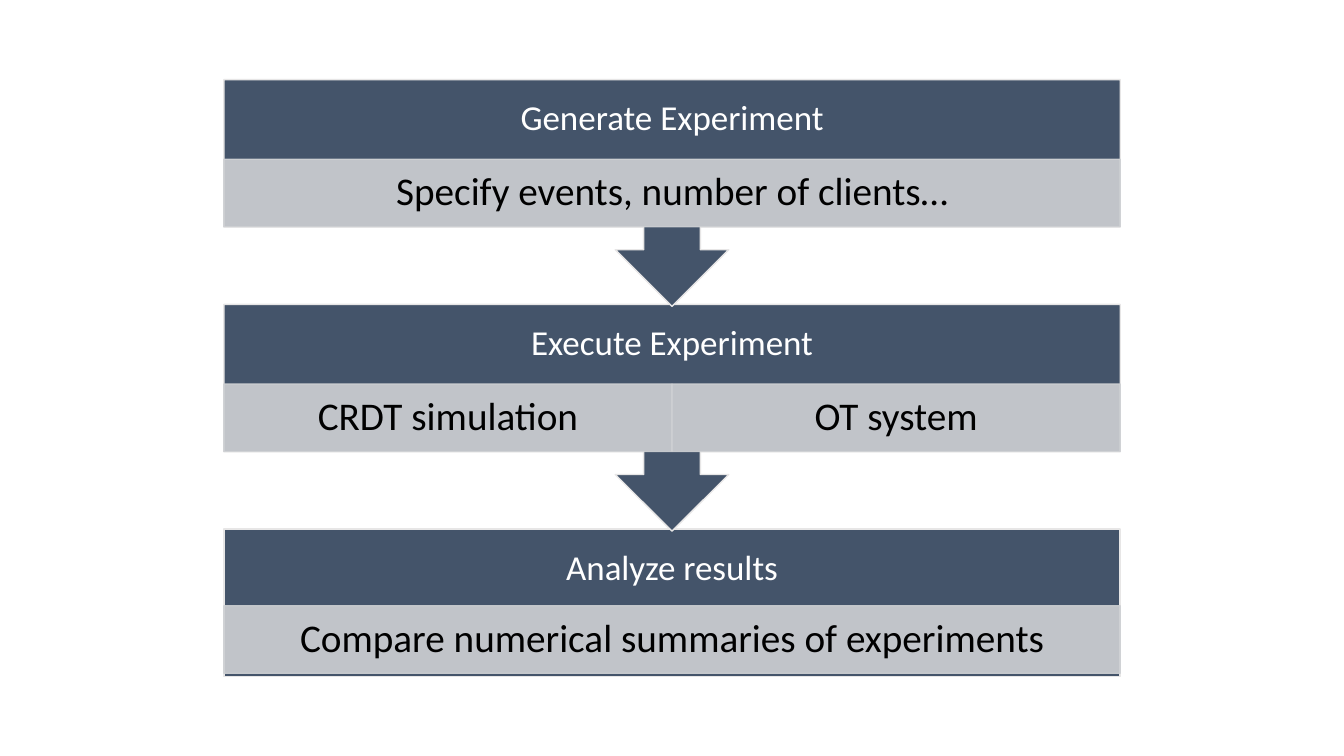
from lxml import etree
from pptx import Presentation
from pptx.dml.color import RGBColor
from pptx.enum.shapes import MSO_SHAPE
from pptx.enum.text import MSO_ANCHOR, PP_ALIGN
from pptx.oxml.ns import qn
from pptx.util import Inches, Pt

RECTANGLE = MSO_SHAPE.RECTANGLE
ARROW_CALLOUT = MSO_SHAPE.DOWN_ARROW_CALLOUT
MIDDLE = MSO_ANCHOR.MIDDLE
CENTER = PP_ALIGN.CENTER

NAVY = RGBColor(0x44, 0x54, 0x6A)
PALE = RGBColor(0xE7, 0xE6, 0xE6)
GRAY = RGBColor(0xCF, 0xD1, 0xD4)
WHITE = RGBColor(0xFF, 0xFF, 0xFF)
BLACK = RGBColor(0x00, 0x00, 0x00)

LEFT, TOP, WIDTH = 2.22, 0.79, 8.89
STEP_PITCH = 2.23
BODY_HEIGHT = 1.46
TITLE_HEIGHT = 0.79
DETAIL_HEIGHT = 0.67

STEPS = [
    ("Generate Experiment", ["Specify events, number of clients…"], ARROW_CALLOUT, 2.25, 0.79),
    ("Execute Experiment", ["CRDT simulation", "OT system"], ARROW_CALLOUT, 2.25, 0.79),
    ("Analyze results", ["Compare numerical summaries of experiments"], RECTANGLE, BODY_HEIGHT, 0.76),
]


def add_box(kind, left, top, width, height, fill, line, text, size, color, insets):
    shape = slide.shapes.add_shape(kind, Inches(left), Inches(top), Inches(width), Inches(height))
    shape.shadow.inherit = False
    shape.fill.solid()
    shape.fill.fore_color.rgb = fill
    shape.line.color.rgb = line
    shape.line.width = Pt(1)
    frame = shape.text_frame
    frame.word_wrap = True
    frame.vertical_anchor = MIDDLE
    side, upper, lower = insets
    frame.margin_left = frame.margin_right = Inches(side)
    frame.margin_top = Inches(upper)
    frame.margin_bottom = Inches(lower)
    paragraph = frame.paragraphs[0]
    paragraph.text = text
    paragraph.alignment = CENTER
    paragraph.line_spacing = 0.9
    paragraph.font.name = "Calibri"
    paragraph.font.size = Pt(size)
    paragraph.font.color.rgb = color
    return shape


presentation = Presentation()
presentation.slide_width = Inches(13.33)
presentation.slide_height = Inches(7.5)
slide = presentation.slides.add_slide(presentation.slide_layouts[6])

title_insets = (0.19, 0.19, BODY_HEIGHT - TITLE_HEIGHT + 0.19)
detail_insets = (0.22, 0.04, 0.04)

for index, (title, details, kind, height, detail_offset) in reversed(list(enumerate(STEPS))):
    top = TOP + index * STEP_PITCH
    add_box(kind, LEFT, top, WIDTH, height, NAVY, PALE, title, 25, WHITE, title_insets)
    detail_width = WIDTH / len(details)
    for column, detail in enumerate(details):
        box = add_box(RECTANGLE, LEFT + column * detail_width, top + detail_offset, detail_width,
                      DETAIL_HEIGHT, GRAY, GRAY, detail, 28, BLACK, detail_insets)
        for color_element in box._element.spPr.iter(qn("a:srgbClr")):
            etree.SubElement(color_element, qn("a:alpha"), val="90000")

presentation.save("out.pptx")
